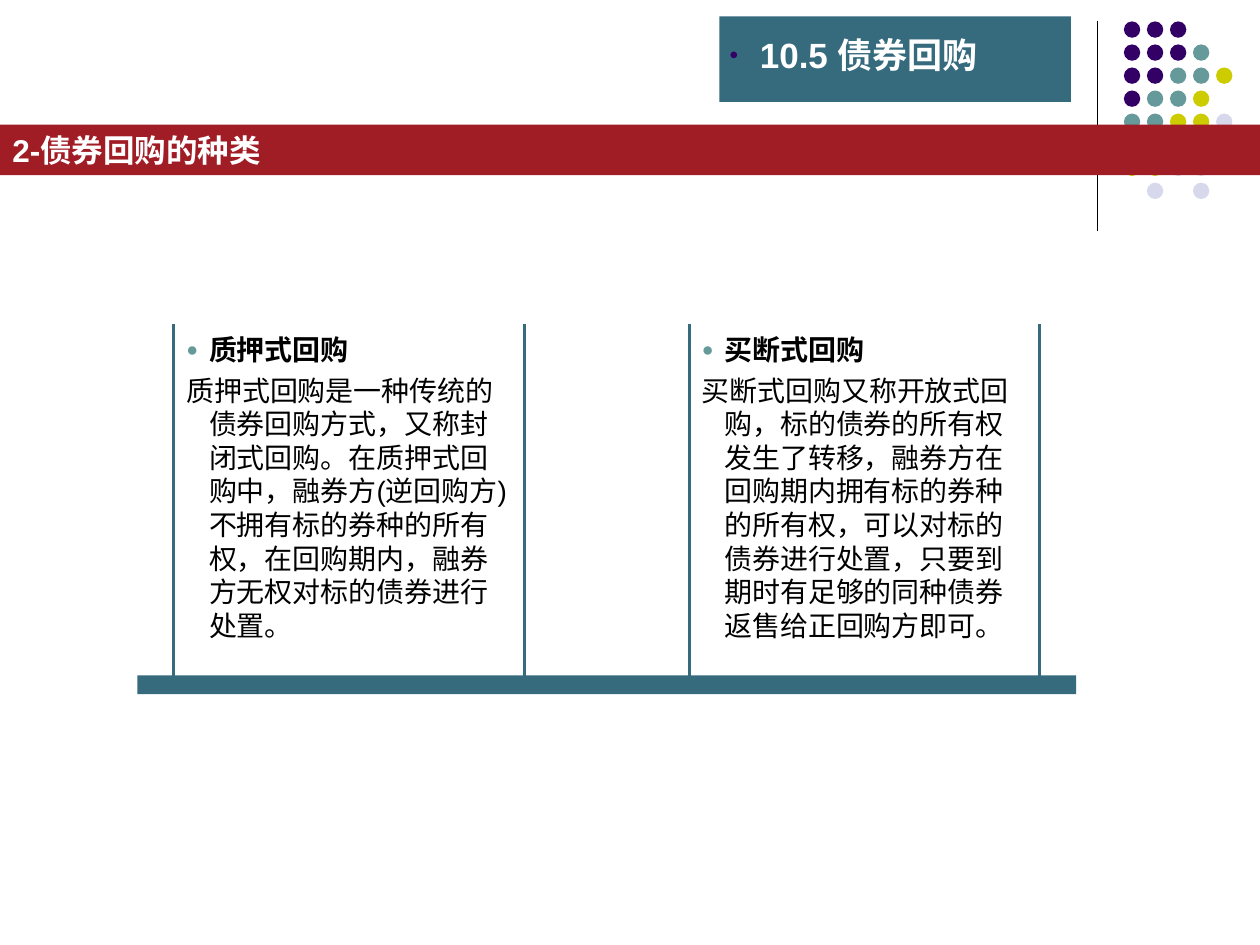
from lxml import etree
from pptx import Presentation
from pptx import util as u
from pptx.dml.color import RGBColor
from pptx.enum import shapes, text
from pptx.oxml import ns

TEAL, RED, WHITE, BLACK = "366B7E", "A11D26", "FFFFFF", "000000"
TITLE = "10.5 债券回购"
HEADING = "2-债券回购的种类"
DOT_COLOURS = {"P": "330066", "T": "669999", "Y": "CCCC00", "L": "D8D8EC"}
DOT_ROWS = ["PPP", "PPPT", "PPTTY", "PTTY", "TTYYL", "", "YYLL", " L L"]
COLUMNS = [
    (1.38, "质押式回购",
     "质押式回购是一种传统的债券回购方式，又称封闭式回购。在质押式回购中，融券方(逆回购方)"
     "不拥有标的券种的所有权，在回购期内，融券方无权对标的债券进行处置。"),
    (5.47, "买断式回购",
     "买断式回购又称开放式回购，标的债券的所有权发生了转移，融券方在回购期内拥有标的券种的所有权，"
     "可以对标的债券进行处置，只要到期时有足够的同种债券返售给正回购方即可。"),
]


def rgb(value):
    return RGBColor.from_string(value)


def add_box(s, kind, at, fill=None, line=None):
    sp = s.shapes.add_shape(kind, *map(u.Inches, at))
    sp.shadow.inherit = False
    if fill:
        sp.fill.solid()
        sp.fill.fore_color.rgb = rgb(fill)
    else:
        sp.fill.background()
    if line:
        sp.line.color.rgb = rgb(line)
        sp.line.width = u.Pt(1.75)
    else:
        sp.line.fill.background()
    return sp


def set_frame(sp, anchor=text.MSO_ANCHOR.TOP, margins=(0, 0)):
    tf = sp.text_frame
    tf.word_wrap = True
    tf.auto_size = text.MSO_AUTO_SIZE.NONE
    tf.vertical_anchor = anchor
    tf.margin_left = tf.margin_right = u.Inches(margins[0])
    tf.margin_top = tf.margin_bottom = u.Inches(margins[1])
    return tf


def write(p, words, size, colour, bold=True, before=0, indent=0, bullet=None):
    p.alignment = text.PP_ALIGN.LEFT
    p.space_before = u.Pt(before)
    r = p.add_run()
    r.text = words
    r.font.name, r.font.size, r.font.bold = "Arial", u.Pt(size), bold
    r.font.color.rgb = rgb(colour)
    pPr = p._p.get_or_add_pPr()
    pPr.set("marL", str(u.Inches(indent)))
    pPr.set("indent", str(-u.Inches(indent)))
    if bullet:
        char, bullet_colour = bullet
        clr = etree.SubElement(pPr, ns.qn("a:buClr"))
        etree.SubElement(clr, ns.qn("a:srgbClr"), val=bullet_colour)
        etree.SubElement(pPr, ns.qn("a:buSzPct"), val="70000")
        etree.SubElement(pPr, ns.qn("a:buFont"), typeface="Arial")
        etree.SubElement(pPr, ns.qn("a:buChar"), char=char)
    else:
        etree.SubElement(pPr, ns.qn("a:buNone"))


def add_corner(s):
    rule = s.shapes.add_connector(
        shapes.MSO_CONNECTOR.STRAIGHT, *map(u.Inches, (8.71, 0.17, 8.71, 1.83)))
    rule.line.color.rgb = rgb(BLACK)
    rule.line.width = u.Pt(0.75)
    etree.SubElement(rule._element.spPr, ns.qn("a:effectLst"))
    pitch = 1.28 / 7
    for row, codes in enumerate(DOT_ROWS):
        for col, code in enumerate(codes):
            if code in DOT_COLOURS:
                at = (8.92 + col * pitch, 0.17 + row * pitch, 0.13, 0.13)
                add_box(s, shapes.MSO_SHAPE.OVAL, at, DOT_COLOURS[code])


def add_headings(s):
    band = add_box(s, shapes.MSO_SHAPE.RECTANGLE, (0, 0.99, 10, 0.4), RED)
    tf = set_frame(band, margins=(0.1, 0.05))
    write(tf.paragraphs[0], HEADING, 18, WHITE, before=11.2)
    add_box(s, shapes.MSO_SHAPE.RECTANGLE, (5.71, 0.13, 2.79, 0.68), TEAL)
    title = s.shapes.title
    title.left, title.top, title.width, title.height = map(
        u.Inches, (5.79, 0.27, 2.75, 0.33))
    tf = set_frame(title, text.MSO_ANCHOR.MIDDLE)
    write(tf.paragraphs[0], TITLE, 20, WHITE, before=5, indent=0.24,
          bullet=("•", DOT_COLOURS["P"]))
    title.element.getparent().append(title.element)


def add_columns(s):
    add_box(s, shapes.MSO_SHAPE.RECTANGLE, (1.09, 5.36, 7.45, 0.15), TEAL)
    for left, name, body in COLUMNS:
        frame = add_box(s, shapes.MSO_SHAPE.DOUBLE_BRACKET,
                        (left, 2.57, 2.78, 2.81), line=TEAL)
        frame.adjustments[0] = 0
        box = s.shapes.add_textbox(*map(u.Inches, (left + 0.1, 2.64, 2.6, 2.45)))
        tf = set_frame(box)
        write(tf.paragraphs[0], name, 16, BLACK, before=4, indent=0.18,
              bullet=("●", DOT_COLOURS["T"]))
        write(tf.add_paragraph(), body, 16, BLACK, bold=False, before=4, indent=0.18)


def main():
    """Build the slide on the kinds of bond repurchase."""
    prs = Presentation()
    prs.slide_width, prs.slide_height = u.Inches(10), u.Inches(7.5)
    s = prs.slides.add_slide(prs.slide_layouts[5])
    add_corner(s)
    add_headings(s)
    add_columns(s)
    prs.save("out.pptx")


if __name__ == "__main__":
    main()
